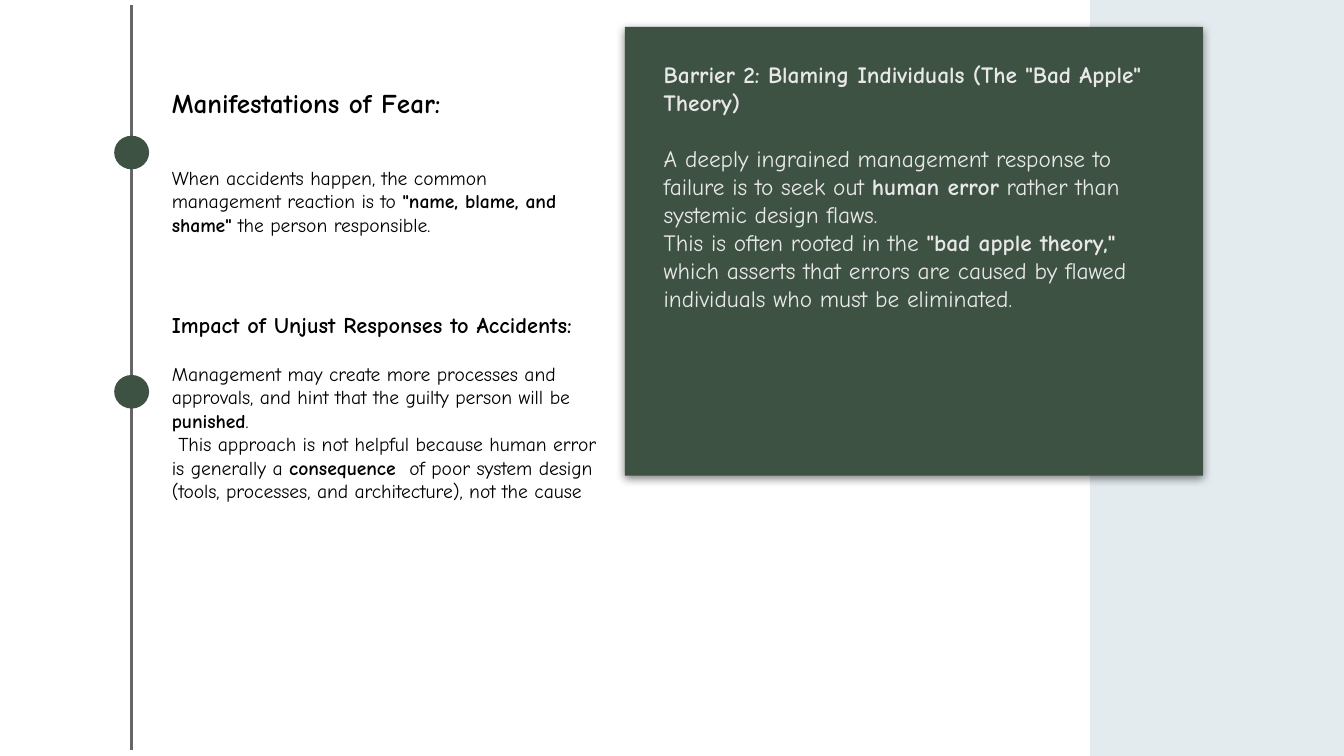
from lxml import etree
from pptx import Presentation
from pptx.dml.color import RGBColor
from pptx.enum import shapes, text
from pptx.oxml.ns import qn
from pptx.util import Inches, Pt

THEME = {
    "font": "Comic Neue", "green": "3E5244", "band": "E4EBEF", "line": "666666",
    "dark": "000000", "light": "E8E8E8",
    "title": 14.5, "subtitle": 12, "body": 10.5, "panel": 12.5,
}
LINE_HEIGHT = 1.2  # natural line height of the font, in type sizes
SLIDE_WIDTH = 10
SLIDE_HEIGHT = SLIDE_WIDTH * 9 / 16

# Content: each paragraph is (size name, blank lines before, line spacing, runs);
# each run is (words, bold)
FEAR_TEXT = [
    ("title", 0, 1, [("Manifestations of Fear:", True)]),
    ("body", 2, 1, [
        ("When accidents happen, the common management reaction is to ", False),
        ('"name, blame, and shame"', True),
        (" the person responsible.", False)]),
    ("subtitle", 3, 1.17, [("Impact of Unjust Responses to Accidents:", True)]),
    ("body", 1, 1, [
        ("Management may create more processes and approvals, "
         "and hint that the guilty person will be ", False),
        ("punished", True),
        (".", False)]),
    ("body", 0, 1, [
        (" This approach is not helpful because human error is generally a ", False),
        ("consequence ", True),
        (" of poor system design (tools, processes, and architecture), "
         "not the cause", False)]),
]
BARRIER_TEXT = [
    ("panel", 0, 1, [('Barrier 2: Blaming Individuals (The "Bad Apple" Theory)', True)]),
    ("panel", 1, 1, [
        ("A deeply ingrained management response to failure is to seek out ", False),
        ("human error", True),
        (" rather than systemic design flaws.", False)]),
    ("panel", 0, 1, [
        ("This is often rooted in the ", False),
        ('"bad apple theory,"', True),
        (" which asserts that errors are caused by flawed individuals "
         "who must be eliminated.", False)]),
]
TIMELINE_X = 0.98
MARKER_TOPS = [1.01, 2.79]
MARKER_SIZE = (0.26, 0.25)


def color(name):
    return RGBColor.from_string(THEME[name])


def add_block(slide, kind, box, fill):
    shape = slide.shapes.add_shape(kind, *map(Inches, box))
    shape.shadow.inherit = False
    shape.fill.solid()
    shape.fill.fore_color.rgb = color(fill)
    shape.line.fill.background()
    return shape


def add_drop_shadow(shape):
    effects = shape._element.spPr.find(qn("a:effectLst"))
    shadow = etree.SubElement(effects, qn("a:outerShdw"), blurRad=str(Pt(4.5)),
                              dist=str(Pt(1.5)), dir="5400000", algn="bl", rotWithShape="0")
    shade = etree.SubElement(shadow, qn("a:srgbClr"), val=THEME["dark"])
    etree.SubElement(shade, qn("a:alpha"), val="50000")


def add_text(slide, content, box, fill, top_inset=0.1, blank="body"):
    frame = slide.shapes.add_textbox(*map(Inches, box)).text_frame
    frame.word_wrap = True
    frame.vertical_anchor = text.MSO_ANCHOR.TOP
    frame.margin_left = frame.margin_right = frame.margin_bottom = Inches(0.1)
    frame.margin_top = Inches(top_inset)
    for index, (size, gap_lines, spacing, runs) in enumerate(content):
        paragraph = frame.add_paragraph() if index else frame.paragraphs[0]
        paragraph.space_before = Pt(gap_lines * THEME[blank] * LINE_HEIGHT)
        paragraph.line_spacing = float(spacing)
        for words, bold in runs:
            run = paragraph.add_run()
            run.text = words
            run.font.name = THEME["font"]
            run.font.size = Pt(THEME[size])
            run.font.bold = bold
            run.font.color.rgb = color(fill)


presentation = Presentation()
presentation.slide_width = Inches(SLIDE_WIDTH)
presentation.slide_height = Inches(SLIDE_HEIGHT)
slide = presentation.slides.add_slide(presentation.slide_layouts[6])

# Side band and green panel
add_block(slide, shapes.MSO_SHAPE.RECTANGLE, (8.11, 0, 1.89, SLIDE_HEIGHT), "band")
panel = add_block(slide, shapes.MSO_SHAPE.RECTANGLE, (4.65, 0.2, 4.3, 3.34), "green")
add_drop_shadow(panel)

# Timeline with its markers
timeline = slide.shapes.add_connector(
    shapes.MSO_CONNECTOR.STRAIGHT, Inches(TIMELINE_X), Inches(0.04),
    Inches(TIMELINE_X), Inches(5.58))
timeline.line.color.rgb = color("line")
timeline.line.width = Pt(1.5)
etree.SubElement(timeline._element.spPr, qn("a:effectLst"))
for top in MARKER_TOPS:
    left = TIMELINE_X - MARKER_SIZE[0] / 2
    add_block(slide, shapes.MSO_SHAPE.OVAL, (left, top, *MARKER_SIZE), "green")

# Texts
add_text(slide, FEAR_TEXT, (1.18, 0.24, 3.39, 4.34), "dark", top_inset=0.4)
add_text(slide, BARRIER_TEXT, (4.84, 0.35, 3.85, 4.73), "light", blank="panel")

presentation.save("out.pptx")
